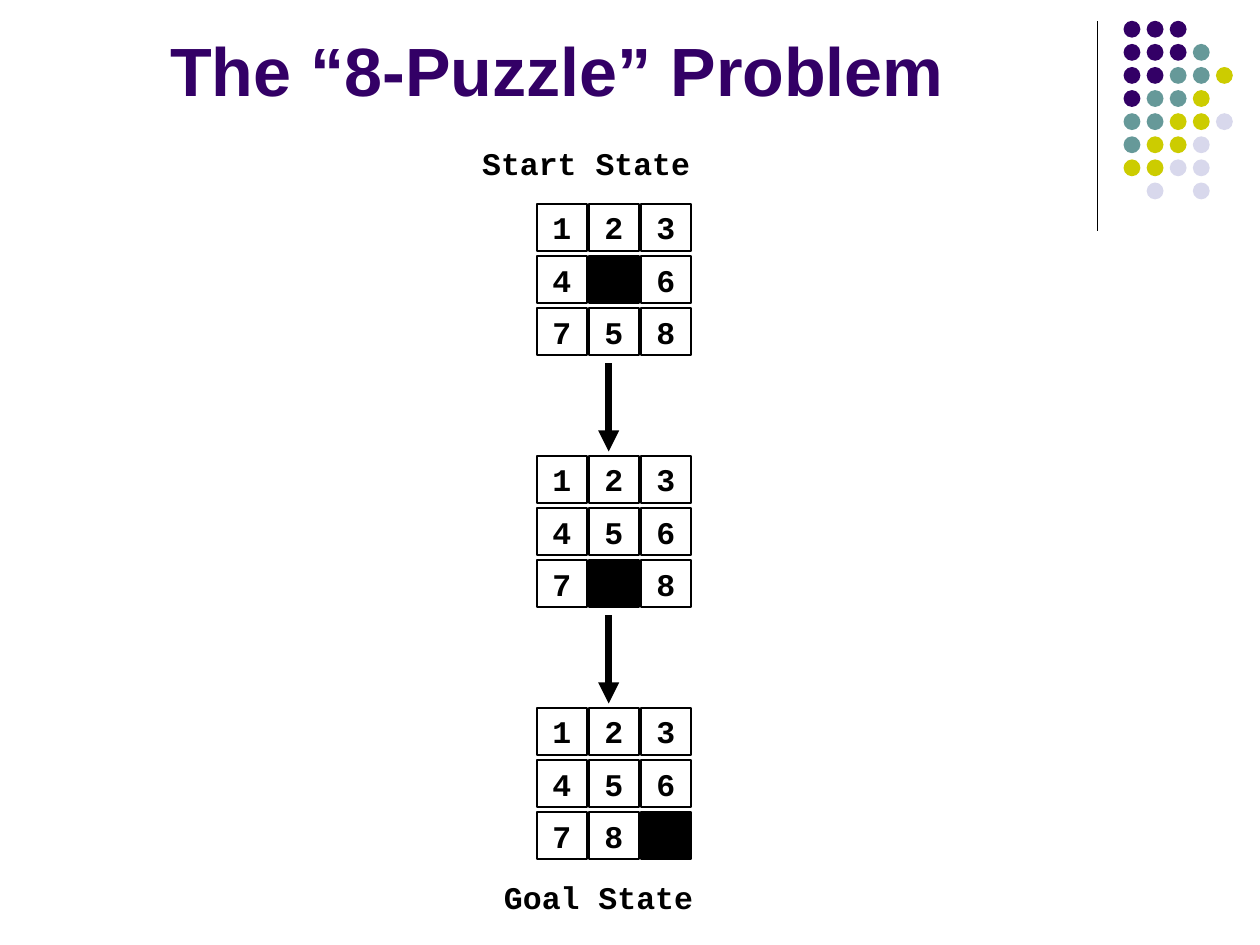
from lxml import etree
from pptx import Presentation
from pptx.dml.color import RGBColor
from pptx.enum.shapes import MSO_CONNECTOR, MSO_SHAPE
from pptx.enum.text import MSO_ANCHOR, MSO_AUTO_SIZE, PP_ALIGN
from pptx.oxml.ns import qn
from pptx.util import Cm, Pt

LINE = MSO_CONNECTOR.STRAIGHT
RECT, OVAL = MSO_SHAPE.RECTANGLE, MSO_SHAPE.OVAL
LEFT, CENTER = PP_ALIGN.LEFT, PP_ALIGN.CENTER
MIDDLE, FIXED = MSO_ANCHOR.MIDDLE, MSO_AUTO_SIZE.NONE

BLACK, WHITE, PURPLE = "000000", "FFFFFF", "330066"

# Dot pattern: one letter per colour, a space where there is no dot
DOTS = ["PPP", "PPPT", "PPTTY", "PTTY", "TTYYL", "TYYL", "YYLL", " L L"]
TINTS = {"P": PURPLE, "T": "669999", "Y": "CCCC00", "L": "D8D8EC"}
DOT, STEP = 0.34, 3.26 / 7

# Puzzle boards from start to goal, a space is the empty square
BOARDS = ["1234 6758", "1234567 8", "12345678 "]
BOARD_X, BOARD_Y, BOARD_STEP = 10.82, 4.11, 5.08
TILE_W, TILE_H, TILE_STEP = 1.01, 0.95, 1.05


def color(code):
    return RGBColor.from_string(code)


def write(frame, text, size=18, font="Courier New", tint=BLACK,
          align=LEFT, anchor=None, wrap=True):
    frame.word_wrap = wrap
    frame.auto_size = FIXED
    if anchor is not None:
        frame.vertical_anchor = anchor
    para = frame.paragraphs[0]
    para.alignment = align
    run = para.add_run()
    run.text = text
    run.font.size = Pt(size)
    run.font.name = font
    run.font.bold = True
    run.font.color.rgb = color(tint)


def add_shape(shapes, kind, x, y, w, h, fill, line=None):
    shape = shapes.add_shape(kind, Cm(x), Cm(y), Cm(w), Cm(h))
    shape.shadow.inherit = False
    shape.fill.solid()
    shape.fill.fore_color.rgb = color(fill)
    if line:
        shape.line.color.rgb = color(BLACK)
        shape.line.width = Pt(line)
    else:
        shape.line.fill.background()
    return shape


def add_line(shapes, x, top, end, width, arrow=False):
    line = shapes.add_connector(LINE, Cm(x), Cm(top), Cm(x), Cm(end))
    line.line.color.rgb = color(BLACK)
    line.line.width = Pt(width)
    props = line._element.spPr
    if arrow:
        head = etree.SubElement(props.find(qn("a:ln")), qn("a:tailEnd"))
        head.set("type", "triangle")
    etree.SubElement(props, qn("a:effectLst"))


def add_dots(shapes):
    group = shapes.add_group_shape()
    for row, marks in enumerate(DOTS):
        for col, mark in enumerate(marks):
            if mark != " ":
                add_shape(group.shapes, OVAL, 22.65 + col * STEP,
                          0.42 + row * STEP, DOT, DOT, TINTS[mark])


def add_board(shapes, top, tiles):
    for i, tile in enumerate(tiles):
        row, col = divmod(i, 3)
        empty = tile == " "
        shape = add_shape(shapes, RECT, BOARD_X + col * TILE_STEP,
                          top + row * TILE_STEP, TILE_W, TILE_H,
                          BLACK if empty else WHITE, line=1)
        if not empty:
            write(shape.text_frame, tile, align=CENTER, anchor=MIDDLE,
                  wrap=False)


def add_label(shapes, text, x, y, w):
    box = shapes.add_textbox(Cm(x), Cm(y), Cm(w), Cm(1.02))
    write(box.text_frame, text)


def add_title(shapes, text):
    title = shapes.title
    title.left, title.top = Cm(3.18), Cm(-0.64)
    title.width, title.height = Cm(21.64), Cm(4.06)
    write(title.text_frame, text, size=39, font="Arial", tint=PURPLE,
          anchor=MIDDLE)


def main():
    deck = Presentation()
    deck.slide_width, deck.slide_height = Cm(25.4), Cm(19.05)
    shapes = deck.slides.add_slide(deck.slide_layouts[5]).shapes

    # Corner decoration and title
    add_line(shapes, 22.12, 0.43, 4.65, 0.75)
    add_dots(shapes)
    add_title(shapes, "The “8-Puzzle” Problem")

    # Boards, with an arrow from each one to the next
    for i, tiles in enumerate(BOARDS):
        top = BOARD_Y + i * BOARD_STEP
        add_board(shapes, top, tiles)
        if i < len(BOARDS) - 1:
            add_line(shapes, 12.27, top + 3.21, top + 4.99, 4, arrow=True)

    # Labels above and below
    add_label(shapes, "Start State", 9.47, 2.77, 6.81)
    add_label(shapes, "Goal State", 9.91, 17.58, 5.33)

    deck.save("out.pptx")


if __name__ == "__main__":
    main()
